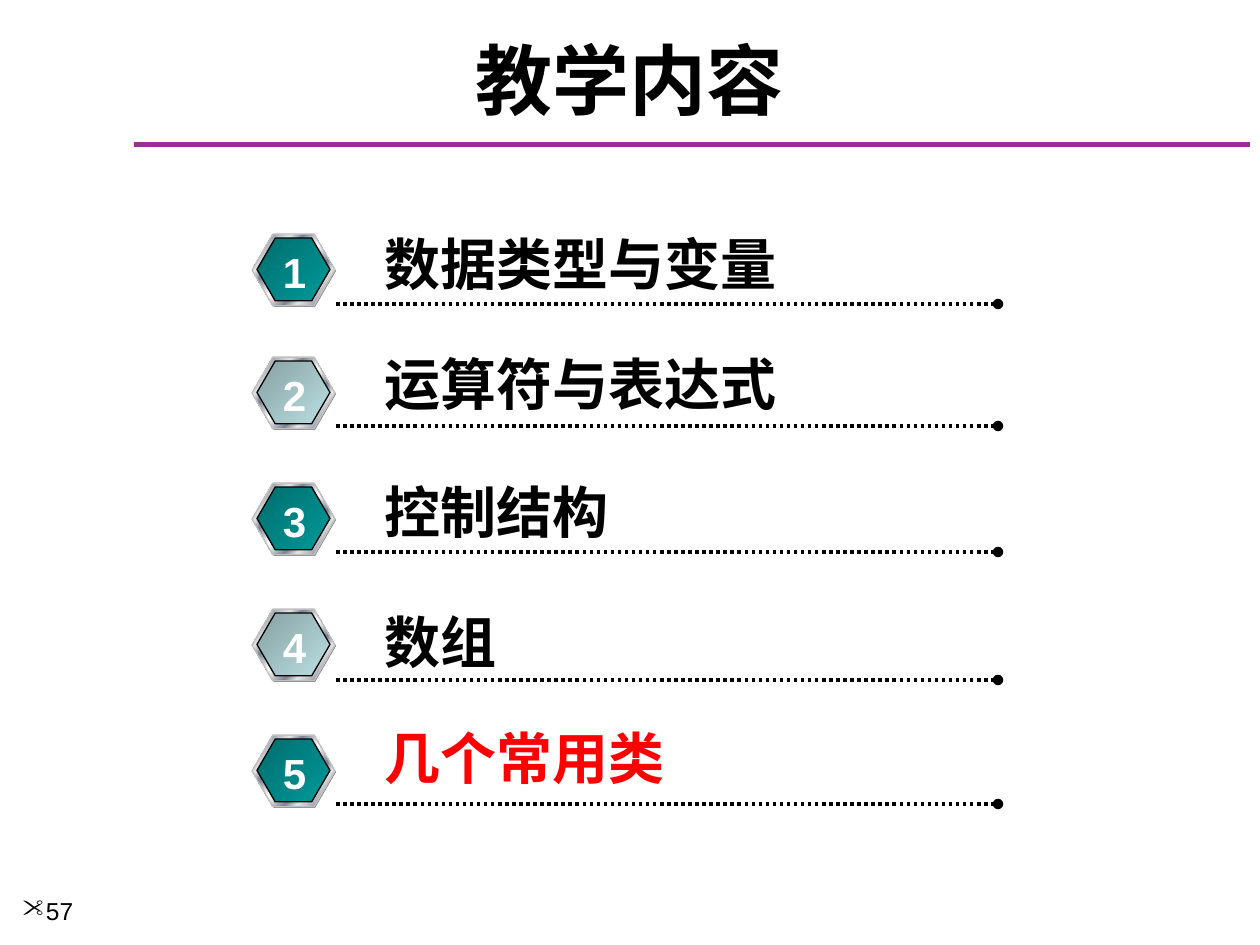
from dataclasses import dataclass

from lxml import etree as et
from pptx import Presentation, util as u
from pptx.dml.color import RGBColor as Rgb
from pptx.enum import dml, shapes as sh, text as tx
from pptx.oxml.ns import qn


@dataclass(frozen=True)
class Theme:
    """Colours, fonts and type sizes of the slide."""
    ink: str = "000000"
    pale: str = "FFFFFF"
    hot: str = "FF0000"
    rule: str = "973095"
    shade: str = "808080"
    rim: str = "C0C0C0"
    teal: tuple = ((0, "006D6D"), (100, "009999"))
    mist: tuple = ((0, "86A0A2"), (100, "BBE0E3"))
    steel: tuple = ((0, "E6E6E6"), (8, "7D8496"), (26, "E6E6E6"), (34, "7D8496"),
                    (46, "E6E6E6"), (50, "FFFFFF"), (54, "E6E6E6"), (66, "7D8496"),
                    (74, "E6E6E6"), (92, "7D8496"), (100, "E6E6E6"))
    latin: str = "Arial"
    han: str = "Noto Sans CJK SC"
    head: int = 44
    item: int = 32
    mark: int = 24
    foot: int = 14


T = Theme()
KIND = sh.MSO_SHAPE
ROWS = (("数据类型与变量", 234, -11, 70), ("运算符与表达式", 357, -14, 69),
        ("控制结构", 483, -12, 69), ("数组", 609, -8, 71), ("几个常用类", 735, -18, 69))


def px(*vals):
    """Turn px lengths into EMU, at 126 px to the inch."""
    return [u.Emu(round(v * 914400 / 126)) for v in vals]


def paint(fill, tone):
    """Fill with one colour, or with a slanting gradient of stops."""
    if isinstance(tone, str):
        fill.solid()
        fill.fore_color.rgb = Rgb.from_string(tone)
        return
    fill.gradient()
    fill.gradient_angle = 315
    stops = fill._xPr.find(".//" + qn("a:gsLst"))
    stops.clear()
    for pos, hue in tone:
        stop = et.SubElement(stops, qn("a:gs"), pos=str(pos * 1000))
        et.SubElement(stop, qn("a:srgbClr"), val=hue)


def block(host, kind, box, tone, edge=None):
    """Add a filled preset shape with an optional thin edge."""
    shape = host.add_shape(kind, *px(*box))
    shape.shadow.inherit = False
    paint(shape.fill, tone)
    if edge:
        paint(shape.line.fill, edge)
        shape.line.width = u.Pt(0.75)
    else:
        shape.line.fill.background()
    return shape


def write(host, box, words, size, hue=T.ink, bold=True, face=T.latin, mid=False, grow=False):
    """Add a text box of one paragraph and return that paragraph."""
    frame = host.add_textbox(*px(*box)).text_frame
    frame.word_wrap = not grow
    if grow:
        frame.auto_size = tx.MSO_AUTO_SIZE.SHAPE_TO_FIT_TEXT
    para = frame.paragraphs[0]
    para.text = words
    para.alignment = tx.PP_ALIGN.CENTER if mid else tx.PP_ALIGN.LEFT
    font = para.font
    font.name, font.size, font.bold = face, u.Pt(size), bold
    font.color.rgb = Rgb.from_string(hue)
    et.SubElement(para._p.pPr.find(qn("a:defRPr")), qn("a:ea"), typeface=T.han)
    return para


def title(host, x, y, w, h):
    """Place the heading in its box and the coloured rule below it."""
    para = write(host, (x, y, w, h), "教学内容", T.head, face=T.han, mid=True)
    para._parent.vertical_anchor = tx.MSO_ANCHOR.MIDDLE
    block(host, KIND.RECTANGLE, (x + 113, y + 111, 1116, 5), T.rule)


def badge(host, x, y, num):
    """Place a rimmed hexagon holding a number."""
    parts = host.add_group_shape().shapes
    tone = T.teal if num % 2 else T.mist
    for box, fill, edge in (((x + 1, y + 1, 83, 72), T.shade, None),
                            ((x, y, 83, 72), T.steel, T.rim),
                            ((x + 5, y + 4, 73, 63), tone, T.ink)):
        hexa = block(parts, KIND.HEXAGON, box, fill, edge)
        hexa.adjustments[0] = 0.29
        hexa.adjustments[1] = 1.15
    write(parts, (x + 18, y + 6, 49, 63), str(num), T.mark, T.pale, mid=True, grow=True)


def entry(host, x, y, w, num, words, rise, drop):
    """Place one row: dotted line, label and badge."""
    line = host.add_connector(sh.MSO_CONNECTOR.STRAIGHT,
                              *px(x + 84, y + drop, x + w, y + drop))
    paint(line.line.fill, T.ink)
    line.line.width = u.Pt(2)
    line.line.dash_style = dml.MSO_LINE.ROUND_DOT
    et.SubElement(line.line._ln, qn("a:tailEnd"), type="oval")
    et.SubElement(line._element.spPr, qn("a:effectLst"))
    hue = T.hot if num == len(ROWS) else T.ink
    write(host, (x + 120, y + rise, 28 + 56 * len(words), 81), words, T.item, hue, grow=True)
    badge(host, x, y, num)


def footer(host, x, y, w, h):
    """Place the page number behind its scissors bullet."""
    para = write(host, (x, y, w, h), "57", T.foot, bold=False)
    bullet = para._p.pPr
    font = et.Element(qn("a:buFont"), typeface="Wingdings", charset="2")
    bullet.insert(0, font)
    font.addnext(et.Element(qn("a:buChar"), char='"'))


def main():
    """Build and save the slide."""
    deck = Presentation()
    deck.slide_width, deck.slide_height = px(1260, 945)
    host = deck.slides.add_slide(deck.slide_layouts[6]).shapes
    title(host, 21, 31, 1218, 95)
    footer(host, 10, 890, 136, 55)
    for num, (words, y, rise, drop) in enumerate(ROWS, 1):
        entry(host, 252, y, 746, num, words, rise, drop)
    deck.save("out.pptx")


if __name__ == "__main__":
    main()
